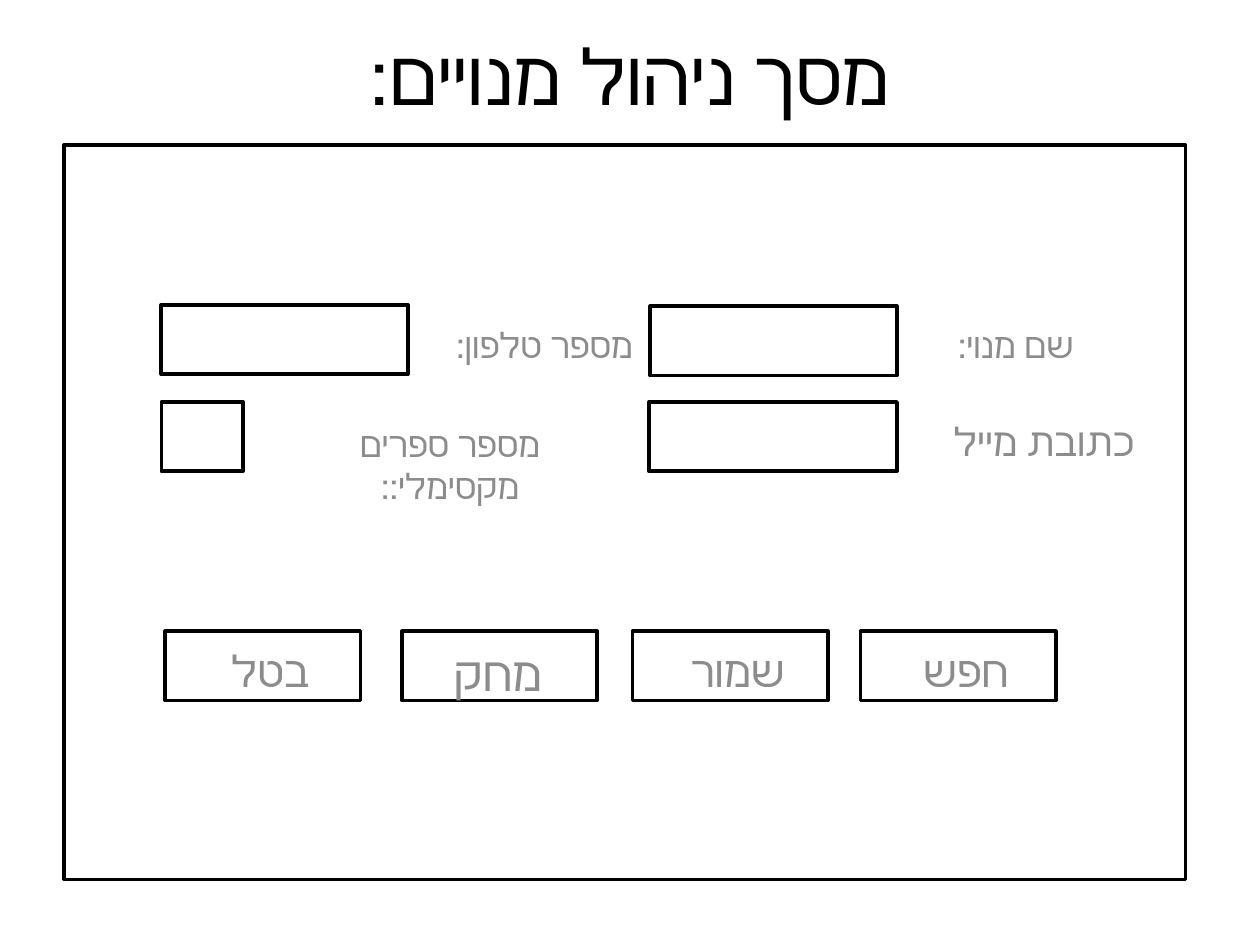
from pptx import Presentation
from pptx.dml.color import RGBColor
from pptx.enum.lang import MSO_LANGUAGE_ID
from pptx.enum.shapes import MSO_SHAPE
from pptx.enum.text import MSO_ANCHOR, PP_ALIGN
from pptx.util import Inches, Pt

THEME = {
    "font": "Calibri",
    "ink": RGBColor(0x00, 0x00, 0x00),
    "label": RGBColor(0x8C, 0x8C, 0x8C),
    "line": 2,
    "title_size": 44,
    "label_size": 20,
    "mail_size": 22.4,
    "button_size": 24.8,
    "delete_size": 27.2,
}


def write_hebrew(frame, text, size, color):
    """Centred right-to-left text in the theme font."""
    frame.word_wrap = True
    frame.text = text
    paragraph = frame.paragraphs[0]
    paragraph.alignment = PP_ALIGN.CENTER
    paragraph._p.get_or_add_pPr().set("rtl", "1")
    font = paragraph.runs[0].font
    font.size = Pt(size)
    font.name = THEME["font"]
    font.color.rgb = color
    font.language_id = MSO_LANGUAGE_ID.HEBREW


def add_frame(slide, left, top, width, height):
    """Outlined rectangle without fill."""
    frame = slide.shapes.add_shape(
        MSO_SHAPE.RECTANGLE, Inches(left), Inches(top), Inches(width), Inches(height))
    frame.shadow.inherit = False
    frame.fill.background()
    frame.line.color.rgb = THEME["ink"]
    frame.line.width = Pt(THEME["line"])


prs = Presentation()
prs.slide_width, prs.slide_height = Inches(10), Inches(7.5)
slide = prs.slides.add_slide(prs.slide_layouts[5])

# Title
title = slide.shapes.title
title.left, title.top = Inches(0.5), Inches(-0.03)
title.width, title.height = Inches(9), Inches(1.25)
title.text_frame.vertical_anchor = MSO_ANCHOR.MIDDLE
write_hebrew(title.text_frame, "מסך ניהול מנויים:", THEME["title_size"], THEME["ink"])

# Screen outline
add_frame(slide, 0.51, 1.15, 8.9, 5.83)

# Input fields
field_height = 0.55
for left, top, width in [
    (5.16, 2.43, 1.96),
    (5.15, 3.19, 1.97),
    (1.28, 2.42, 1.96),
    (1.28, 3.19, 0.65),
]:
    add_frame(slide, left, top, width, field_height)

# Buttons
button_top, button_width = 5.01, 1.55
button_lefts = [1.31, 3.19, 5.02, 6.83]
for left in button_lefts:
    add_frame(slide, left, button_top, button_width, field_height)

# Field labels and button captions: text, left, top, width, height, size
captions = [
    ("שם מנוי:", 7.46, 2.52, 1.2, 0.45, THEME["label_size"]),
    ("מספר טלפון:", 3.5, 2.52, 1.64, 0.44, THEME["label_size"]),
    ("כתובת מייל", 7.46, 3.26, 1.65, 0.49, THEME["mail_size"]),
    ("מספר ספרים מקסימלי::", 2.37, 3.3, 2.4, 0.45, THEME["label_size"]),
    ("מחק", 3.19, 5.06, 1.52, 0.5, THEME["delete_size"]),
]
for text, button_left in zip(["בטל", "שמור", "חפש"], button_lefts[:1] + button_lefts[2:]):
    captions.append((text, button_left + 0.35, 5.06, 0.97, 0.45, THEME["button_size"]))

for text, left, top, width, height, size in captions:
    caption = slide.shapes.add_textbox(
        Inches(left), Inches(top), Inches(width), Inches(height))
    write_hebrew(caption.text_frame, text, size, THEME["label"])

prs.save("out.pptx")
